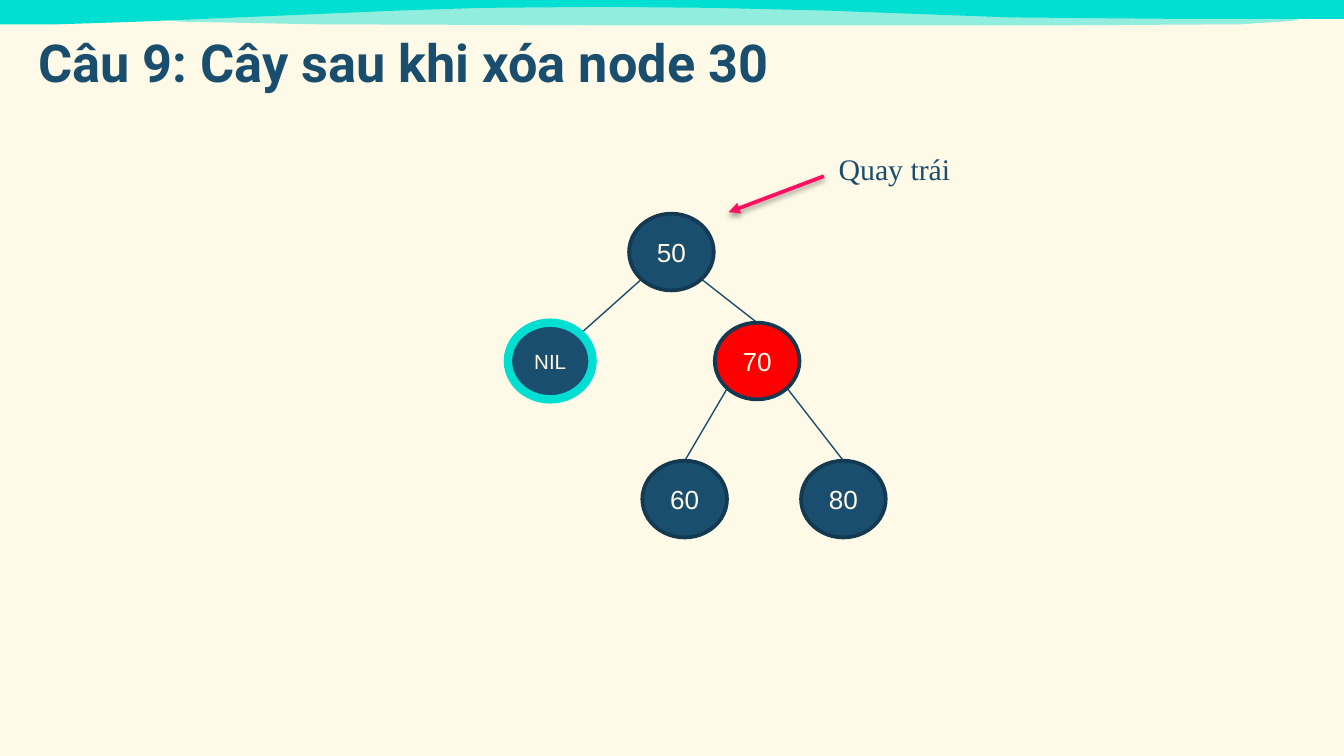
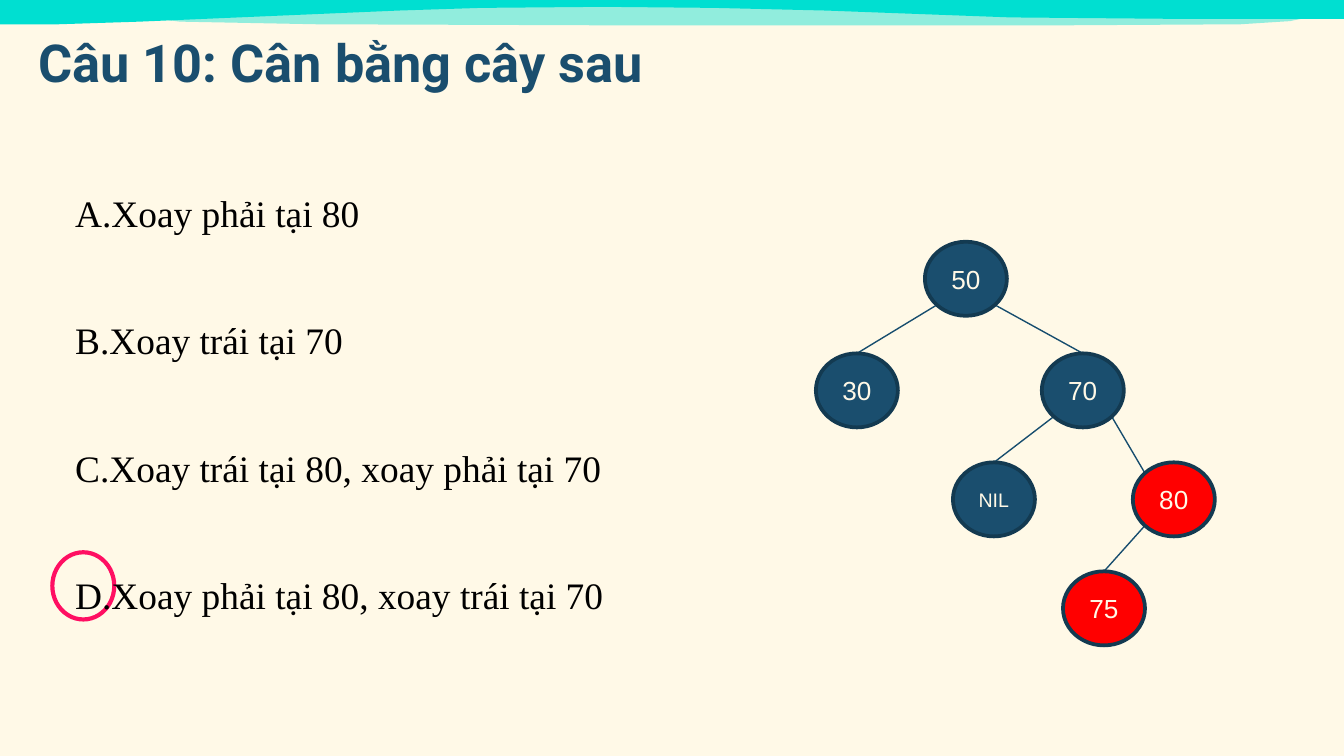
from lxml import etree
from pptx import Presentation
from pptx.dml.color import RGBColor
from pptx.enum.shapes import MSO_CONNECTOR, MSO_SHAPE
from pptx.enum.text import MSO_ANCHOR, PP_ALIGN
from pptx.oxml.ns import qn
from pptx.util import Cm, Pt

LINE, ELLIPSE = MSO_CONNECTOR.STRAIGHT, MSO_SHAPE.OVAL
TOP, MIDDLE, BOTTOM = MSO_ANCHOR.TOP, MSO_ANCHOR.MIDDLE, MSO_ANCHOR.BOTTOM
CENTER = PP_ALIGN.CENTER

CREAM, NAVY, DARK, EDGE = "FFF9E7", "1A4E6E", "133A51", "174D6E"
TEAL, RED, PINK, BLACK = "00DFD1", "FF0000", "FF0F62", "000000"
TITLE_FONT, NODE_FONT, BODY_FONT = "Roboto", "Arial", "Times New Roman"

# Header waves: outline in cm, opacity in percent
WAVES = [
    ([(0, 0.46), (1.1, 0.46), (2.64, 0.41), (7.54, 0.2), (9.09, 0.15),
      (11.4, 0.13), (13.5, 0.15), (15.6, 0.2), (16.94, 0.25), (19.1, 0.33),
      (22.5, 0.36), (25.4, 0.36), (25.4, 0), (0, 0)], 100),
    ([(2.49, 0.1), (25.22, 0.15), (24.92, 0.29), (24.38, 0.4), (23.44, 0.46),
      (20, 0.48), (11.63, 0.48), (6, 0.46), (3.4, 0.41), (2.77, 0.33),
      (2.51, 0.23)], 43),
]

# Points where edges meet a node, as fractions of its width and height
LOW, HIGH = 0.15, 0.85
SITES = {"top": (0.5, 0), "top left": (LOW, LOW), "top right": (HIGH, LOW),
         "bottom left": (LOW, HIGH), "bottom right": (HIGH, HIGH)}

# Nodes: label -> left, top, fill, outline, outline width, text size
# Edges: parent, its site, child, its site
SLIDES = [
    {"title": "Câu 9: Cây sau khi xóa node 30",
     "size": (1.6, 1.45),
     "nodes": {"50": (11.89, 4.04, NAVY, DARK, 2, 14),
               "NIL": (9.6, 6.1, NAVY, TEAL, 4.5, 11),
               "70": (13.51, 6.1, RED, DARK, 2, 14),
               "60": (12.14, 8.71, NAVY, DARK, 2, 14),
               "80": (15.14, 8.71, NAVY, DARK, 2, 14)},
     "edges": [("50", "bottom left", "NIL", "top right"),
               ("50", "bottom right", "70", "top"),
               ("70", "bottom left", "60", "top"),
               ("70", "bottom right", "80", "top")]},
    {"title": "Câu 10: Cân bằng cây sau",
     "size": (1.55, 1.4),
     "nodes": {"50": (17.48, 4.57, NAVY, DARK, 2, 14),
               "30": (15.42, 6.68, NAVY, DARK, 2, 14),
               "70": (19.69, 6.68, NAVY, DARK, 2, 14),
               "NIL": (18.01, 8.74, NAVY, DARK, 2, 10.5),
               "80": (21.41, 8.74, RED, DARK, 2, 14),
               "75": (20.09, 10.8, RED, DARK, 2, 14)},
     "edges": [("50", "bottom left", "30", "top"),
               ("50", "bottom right", "70", "top"),
               ("70", "bottom left", "NIL", "top"),
               ("70", "bottom right", "80", "top left"),
               ("80", "bottom left", "75", "top")]},
]
ANSWERS = ["Xoay phải tại 80", "Xoay trái tại 70",
           "Xoay trái tại 80, xoay phải tại 70",
           "Xoay phải tại 80, xoay trái tại 70"]


def rgb(value):
    """Turn a hex string into a colour."""
    return RGBColor.from_string(value)


def add_run(p, text, font, size, color, bold=False):
    """Append a styled run to a paragraph."""
    r = p.add_run()
    r.text = text
    r.font.name, r.font.size, r.font.bold = font, Pt(size), bold
    r.font.color.rgb = rgb(color)


def add_line(s, x1, y1, x2, y2, color, width):
    """Draw a straight line in cm and return it with its effect list."""
    sp = s.shapes.add_connector(LINE, Cm(x1), Cm(y1), Cm(x2), Cm(y2))
    sp.line.color.rgb = rgb(color)
    sp.line.width = Pt(width)
    effects = etree.SubElement(sp._element.spPr, qn("a:effectLst"))
    return sp, effects


prs = Presentation()
prs.slide_width, prs.slide_height = Cm(25.4), Cm(14.29)

for page in SLIDES:
    s = prs.slides.add_slide(prs.slide_layouts[6])
    s.background.fill.solid()
    s.background.fill.fore_color.rgb = rgb(CREAM)

    for outline, opacity in WAVES:
        points = [(Cm(x), Cm(y)) for x, y in outline]
        fb = s.shapes.build_freeform(*points[0])
        fb.add_line_segments(points[1:])
        sp = fb.convert_to_shape()
        sp.shadow.inherit = False
        sp.fill.solid()
        sp.fill.fore_color.rgb = rgb(TEAL)
        sp.line.fill.background()
        if opacity < 100:
            clr = sp._element.spPr.find(".//" + qn("a:srgbClr"))
            etree.SubElement(clr, qn("a:alpha"), val=str(opacity * 1000))

    tf = s.shapes.add_textbox(Cm(0.48), 0, Cm(23.95), Cm(2)).text_frame
    tf.word_wrap = True
    tf.vertical_anchor = BOTTOM
    tf.margin_top = tf.margin_bottom = Cm(0.25)
    add_run(tf.paragraphs[0], page["title"], TITLE_FONT, 28, NAVY, True)

    w, h = page["size"]
    nodes = page["nodes"]
    for parent, start, child, end in page["edges"]:
        ends = []
        for label, site in ((parent, start), (child, end)):
            fx, fy = SITES[site]
            ends += [nodes[label][0] + fx * w, nodes[label][1] + fy * h]
        add_line(s, *ends, EDGE, 0.75)

    for label, (x, y, fill, outline, width, size) in nodes.items():
        sp = s.shapes.add_shape(ELLIPSE, Cm(x), Cm(y), Cm(w), Cm(h))
        sp.shadow.inherit = False
        sp.fill.solid()
        sp.fill.fore_color.rgb = rgb(fill)
        sp.line.color.rgb = rgb(outline)
        sp.line.width = Pt(width)
        tf = sp.text_frame
        tf.word_wrap = False
        tf.vertical_anchor = MIDDLE
        p = tf.paragraphs[0]
        p.alignment = CENTER
        add_run(p, label, NODE_FONT, size, CREAM)

first, second = prs.slides

# Rotation hint with a shadowed arrow
sp, effects = add_line(first, 15.57, 3.33, 13.77, 4.01, PINK, 2)
etree.SubElement(sp.line._get_or_add_ln(), qn("a:tailEnd"), type="triangle")
shadow = etree.SubElement(effects, qn("a:outerShdw"), blurRad=str(Pt(3.1)),
                          dist=str(Pt(1.6)), dir="5400000", rotWithShape="0")
clr = etree.SubElement(shadow, qn("a:srgbClr"), val=BLACK)
etree.SubElement(clr, qn("a:alpha"), val="38000")

tf = first.shapes.add_textbox(Cm(15.6), Cm(2.72), Cm(3.63), Cm(0.94)).text_frame
tf.word_wrap = True
add_run(tf.paragraphs[0], "Quay trái", BODY_FONT, 16, NAVY)

# Ring around the right answer
sp = second.shapes.add_shape(ELLIPSE, Cm(0.99), Cm(10.44), Cm(1.17), Cm(1.27))
sp.shadow.inherit = False
sp.fill.background()
sp.line.color.rgb = rgb(PINK)
sp.line.width = Pt(2.25)

# Lettered answers
tf = second.shapes.add_textbox(Cm(1.17), Cm(3.2), Cm(14.2), Cm(9.47)).text_frame
tf.word_wrap = True
tf.vertical_anchor = TOP
tf.margin_top = Cm(0.33)
for i, answer in enumerate(ANSWERS):
    p = tf.paragraphs[0] if i == 0 else tf.add_paragraph()
    p.line_spacing = 1.07
    p.space_after = Pt(42.7)
    pPr = p._p.get_or_add_pPr()
    pPr.set("marL", str(Cm(0.13)))
    pPr.set("indent", str(Cm(-0.95)))
    clr = etree.SubElement(pPr, qn("a:buClr"))
    etree.SubElement(clr, qn("a:srgbClr"), val=BLACK)
    etree.SubElement(pPr, qn("a:buFont"), typeface=BODY_FONT)
    etree.SubElement(pPr, qn("a:buAutoNum"), type="alphaUcPeriod")
    add_run(p, answer, BODY_FONT, 20, BLACK)

prs.save("out.pptx")
